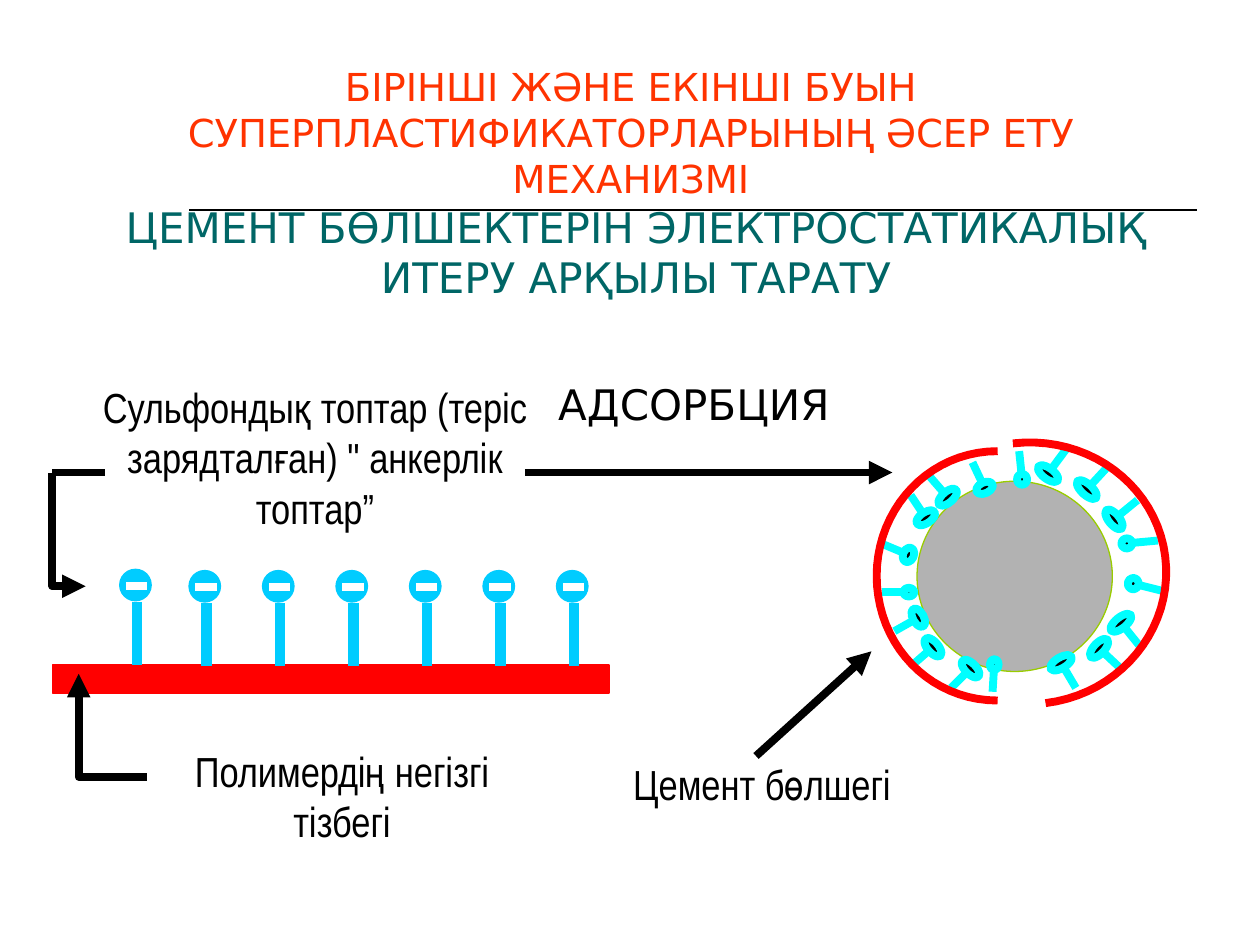
from math import atan2, cos, degrees, sin

from lxml import etree
from pptx import Presentation
from pptx.dml.color import RGBColor
from pptx.enum.shapes import MSO_CONNECTOR, MSO_SHAPE
from pptx.enum.text import MSO_ANCHOR, PP_ALIGN
from pptx.oxml.ns import qn
from pptx.util import Pt

STRAIGHT = MSO_CONNECTOR.STRAIGHT
RECT, OVAL = MSO_SHAPE.RECTANGLE, MSO_SHAPE.OVAL
TOP, MIDDLE = MSO_ANCHOR.TOP, MSO_ANCHOR.MIDDLE
CENTER = PP_ALIGN.CENTER

COLORS = {
    "black": "000000", "white": "FFFFFF", "red": "FF0000",
    "title": "FF3300", "subtitle": "006666", "group": "00CCFF",
    "anchor": "00FFFF", "cement": "B2B2B2", "cement_edge": "99CC00",
}
WIDE, NARROW = "DejaVu Sans", "Arial Narrow"
FRAME_FORMAT = {"word_wrap": True, "margin_left": Pt(3), "margin_top": 0,
                "margin_right": Pt(3), "margin_bottom": 0}
STROKE = 4.5

# Adsorbed molecules: outer stem end, inner stem end, head length
MOLECULES = [
    (139.7, 133.9, 128.9, 123.8, 13.7), (113.8, 144.7, 106.6, 132.5, 13.7),
    (149.8, 120.2, 141.1, 109.4, 14.4), (163.4, 89.3, 149, 85.7, 6.5),
    (160.6, 60.5, 145.4, 61.9, 5.8), (149, 37.4, 137.5, 46.8, 13.7),
    (131, 19.4, 121.7, 29.5, 14.4), (108, 8.6, 99.4, 20.2, 13.7),
    (81.4, 9.4, 82.8, 23, 5.8), (30.2, 23.8, 38.9, 33.8, 13),
    (54.7, 15.8, 60.5, 28.1, 10.1), (19.4, 34.6, 26.6, 45.4, 12.2),
    (3.6, 62.6, 15.8, 67.7, 8.6), (2.9, 90, 15.8, 90, 5),
    (10.1, 112.3, 21.6, 105.8, 11.5), (20.2, 131.8, 30.2, 123.1, 13),
    (42.5, 144.7, 51.8, 135.4, 13), (66.2, 146.9, 67, 133.9, 5),
]
# Polymer shells around the particle: start point, then Bezier segments
SHELLS = [
    ((96.5, 153.4), [((139, 148.3), (169.9, 110.9), (164.9, 69.8)),
                     ((159.8, 28.8), (121, 0), (77.8, 5))]),
    ((69.1, 9.4), [((30.2, 9.4), (0, 41.8), (0, 80.6)),
                   ((0, 120.2), (30.2, 151.9), (69.1, 151.9))]),
]


def rgb(name):
    return RGBColor.from_string(COLORS[name])


def style_line(shape, color, width, arrow=False):
    shape.line.color.rgb = rgb(color)
    shape.line.width = Pt(width)
    if arrow:
        etree.SubElement(shape.line._get_or_add_ln(), qn("a:tailEnd"), type="triangle")


def add_line(slide, start, end, color, width, arrow=False):
    line = slide.shapes.add_connector(STRAIGHT, *map(Pt, (*start, *end)))
    style_line(line, color, width, arrow)
    etree.SubElement(line._element.spPr, qn("a:effectLst"))


def add_path(slide, points, color, arrow=False):
    points = [(Pt(x), Pt(y)) for x, y in points]
    builder = slide.shapes.build_freeform(*points[0])
    builder.add_line_segments(points[1:], close=False)
    path = builder.convert_to_shape()
    path.shadow.inherit = False
    path.fill.background()
    style_line(path, color, STROKE, arrow)


def add_filled(slide, kind, box, fill, edge, width=0.75, rotation=0):
    shape = slide.shapes.add_shape(kind, *map(Pt, box))
    shape.shadow.inherit = False
    shape.rotation = rotation
    shape.fill.solid()
    shape.fill.fore_color.rgb = rgb(fill)
    style_line(shape, edge, width)


def add_label(slide, box, text, font, color="black", size=24, anchor=TOP):
    frame = slide.shapes.add_textbox(*map(Pt, box)).text_frame
    for name, value in {**FRAME_FORMAT, "vertical_anchor": anchor}.items():
        setattr(frame, name, value)
    paragraph = frame.paragraphs[0]
    paragraph.alignment = CENTER
    run = paragraph.add_run()
    run.text = text
    for name, value in {"name": font, "size": Pt(size)}.items():
        setattr(run.font, name, value)
    run.font.color.rgb = rgb(color)


def bezier_points(start, segments, steps=20):
    points = [start]
    for a, b, c in segments:
        p = points[-1]
        for i in range(1, steps + 1):
            t = i / steps
            u = 1 - t
            points.append(tuple(u**3 * p[k] + 3 * u * u * t * a[k]
                                + 3 * u * t * t * b[k] + t**3 * c[k] for k in (0, 1)))
    return points


def add_heading(slide, left, top):
    add_line(slide, (left + 72, top + 84), (left + 648, top + 84), "black", 1)
    add_label(slide, (left, top + 75, 655, 66),
              "ЦЕМЕНТ БӨЛШЕКТЕРІН ЭЛЕКТРОСТАТИКАЛЫҚ ИТЕРУ АРҚЫЛЫ ТАРАТУ",
              WIDE, "subtitle", anchor=MIDDLE)
    add_label(slide, (left, top, 649, 62),
              "БІРІНШІ ЖӘНЕ ЕКІНШІ БУЫН СУПЕРПЛАСТИФИКАТОРЛАРЫНЫҢ ӘСЕР ЕТУ МЕХАНИЗМІ",
              WIDE, "title", 22)


def add_sulfo_group(slide, left, top):
    add_line(slide, (left + 10, top + 18.7), (left + 10, top + 54.7), "group", 6)
    add_filled(slide, OVAL, (left, top, 18, 18), "group", "group")
    add_line(slide, (left + 3.6, top + 9.4), (left + 15.8, top + 9.4), "white", STROKE)


def add_polymer(slide, left, top):
    # Main chain with its charged groups
    add_filled(slide, RECT, (left, top + 162, 318, 16), "red", "red")
    add_sulfo_group(slide, left + 38.4, top + 107.3)
    for i in range(6):
        add_sulfo_group(slide, left + 78 + 42 * i, top + 108)
    # Chain label and pointer
    add_label(slide, (left + 54, top + 208, 223, 62), "Полимердің негізгі тізбегі", NARROW)
    add_path(slide, [(left + 54, top + 226), (left + 15, top + 226),
                     (left + 15, top + 167)], "black", True)
    # Group label and pointer
    add_label(slide, (left + 20, top, 260, 89),
              "Сульфондық топтар (теріс зарядталған) \" анкерлік топтар”", NARROW)
    add_path(slide, [(left, top + 52), (left, top + 117), (left + 19, top + 117)],
             "black", True)
    add_line(slide, (left, top + 52), (left + 30, top + 52), "black", STROKE)


def add_adsorption(slide, left, top):
    add_line(slide, (left + 12, top + 54), (left + 222, top + 54), "black", STROKE, True)
    add_label(slide, (left, top, 217, 37), "АДСОРБЦИЯ", WIDE)


def add_molecule(slide, outer, inner, length, thickness=6.2):
    angle = atan2(inner[1] - outer[1], inner[0] - outer[0])
    center_x = inner[0] + 2.5 * cos(angle)
    center_y = inner[1] + 2.5 * sin(angle)
    add_line(slide, outer, inner, "anchor", STROKE)
    add_filled(slide, OVAL,
               (center_x - length / 2, center_y - thickness / 2, length, thickness),
               "black", "anchor", STROKE, degrees(angle) + 90)


def add_particle(slide, left, top):
    add_filled(slide, OVAL, (left + 23, top + 26.6, 111.6, 108.7), "cement", "cement_edge")
    for x1, y1, x2, y2, length in MOLECULES:
        add_molecule(slide, (left + x1, top + y1), (left + x2, top + y2), length)
    for start, segments in SHELLS:
        add_path(slide, [(left + x, top + y) for x, y in bezier_points(start, segments)],
                 "red")
    # Particle label and pointer
    add_label(slide, (left - 165, top + 185, 199, 35), "Цемент бөлшегі", NARROW)
    add_line(slide, (left - 69, top + 183.6), (left - 3, top + 123.8),
             "black", STROKE, True)


def main():
    deck = Presentation()
    deck.slide_width, deck.slide_height = Pt(720), Pt(540)
    slide = deck.slides.add_slide(deck.slide_layouts[6])
    add_heading(slide, 36, 36)
    add_polymer(slide, 30, 218)
    add_adsorption(slide, 288, 216)
    add_particle(slide, 501, 248.4)
    deck.save("out.pptx")


if __name__ == "__main__":
    main()
